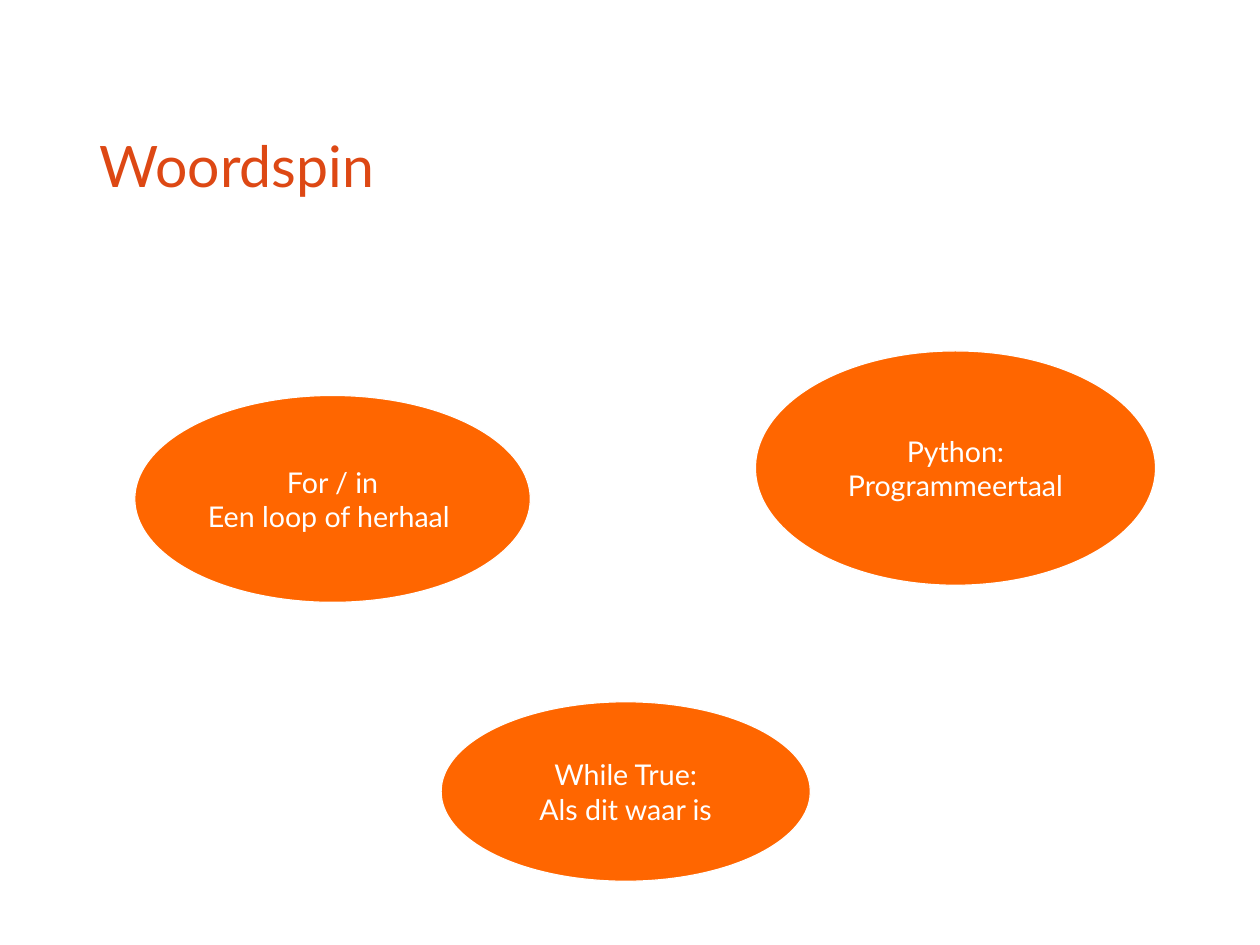
from pptx import Presentation
from pptx.dml.color import RGBColor
from pptx.enum.shapes import MSO_SHAPE
from pptx.enum.text import MSO_ANCHOR, PP_ALIGN
from pptx.util import Cm, Inches, Pt

FONT = "Lato"
TITLE_RED = RGBColor(0xDD, 0x48, 0x14)
ORANGE = RGBColor(0xFF, 0x66, 0x00)
WHITE = RGBColor(0xFF, 0xFF, 0xFF)

# Each bubble: box (left, top, width, height), term, meaning
BUBBLES = [
    ((6.61, 3.07, 3.5, 2.05), "Python:", "Programmeertaal"),
    ((3.86, 6.14, 3.23, 1.57), "While True:", "Als dit waar is"),
    ((1.18, 3.46, 3.46, 1.81), "For / in", "Een loop of herhaal "),
]


def format_text(tf, size, color, align):
    tf.vertical_anchor = MSO_ANCHOR.MIDDLE
    for p in tf.paragraphs:
        p.alignment = align
        for r in p.runs:
            r.font.name = FONT
            r.font.size = Pt(size)
            r.font.color.rgb = color


def add_title(slide, box, text):
    sp = slide.shapes.title
    sp.left, sp.top, sp.width, sp.height = map(Inches, box)
    tf = sp.text_frame
    tf.text = text
    tf.margin_left = tf.margin_right = tf.margin_top = tf.margin_bottom = 0
    format_text(tf, 36, TITLE_RED, PP_ALIGN.LEFT)


def add_bubble(slide, box, term, meaning):
    sp = slide.shapes.add_shape(MSO_SHAPE.OVAL, *map(Inches, box))
    sp.shadow.inherit = False
    sp.fill.solid()
    sp.fill.fore_color.rgb = ORANGE
    sp.line.color.rgb = WHITE
    sp.line.width = Pt(0)
    tf = sp.text_frame
    tf.text = f"{term}\n{meaning}"
    tf.word_wrap = False
    format_text(tf, 18, WHITE, PP_ALIGN.CENTER)


def main():
    prs = Presentation()
    # Metric page: 28 x 21 cm
    prs.slide_width = Cm(28)
    prs.slide_height = Cm(21)
    slide = prs.slides.add_slide(prs.slide_layouts[5])

    # Title
    add_title(slide, (0.87, 1.02, 9.25, 0.84), "Woordspin")

    # Word web
    for box, term, meaning in BUBBLES:
        add_bubble(slide, box, term, meaning)

    prs.save("out.pptx")


if __name__ == "__main__":
    main()
